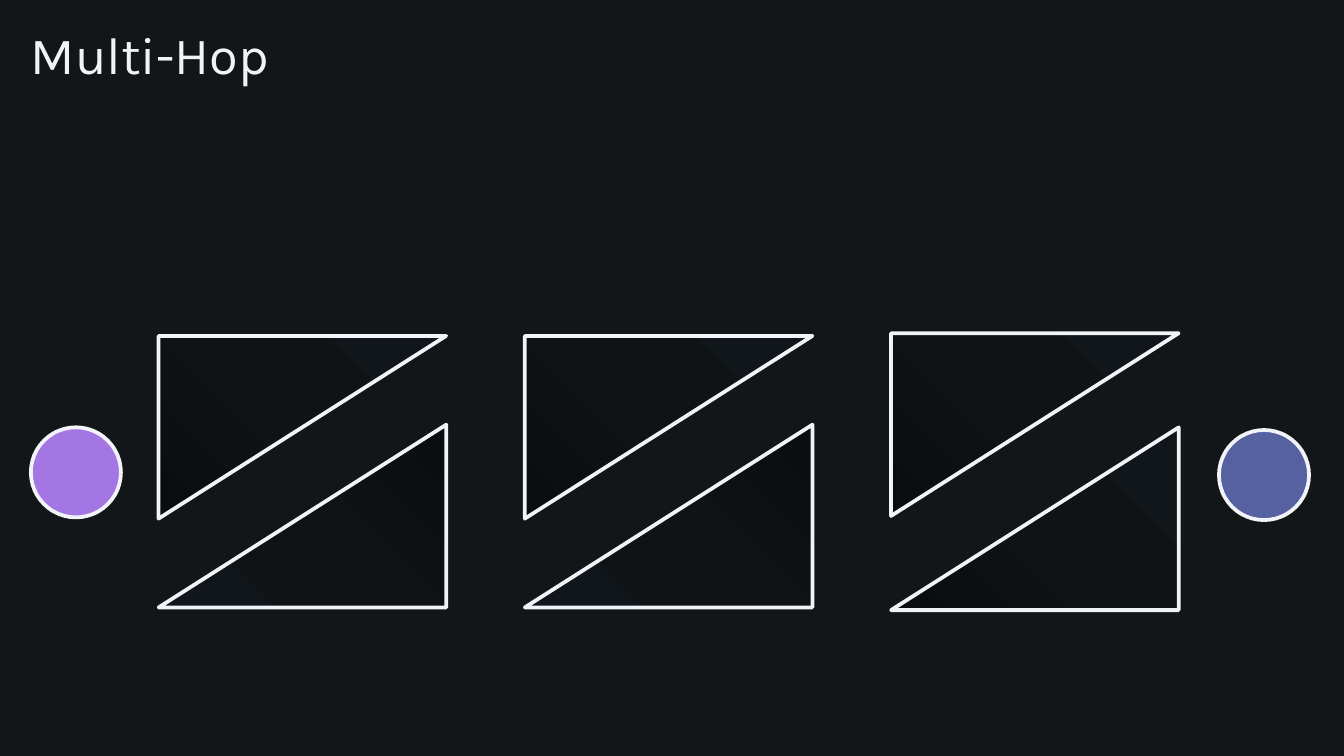
from copy import deepcopy

from pptx import Presentation
from pptx.dml.color import RGBColor
from pptx.enum.shapes import MSO_SHAPE as Shape
from pptx.oxml.ns import qn
from pptx.util import Inches, Pt

LIGHT = "F2F3F8"
GRADIENT = ((0, "0A0D0F"), (50, "0F1316"), (100, "11161A"))


def color(value):
    return RGBColor.from_string(value)


class SlideBuilder:
    font = "Karla"
    line_width = Pt(2)

    def __init__(self, slide, background):
        self.slide = slide
        slide.background.fill.solid()
        slide.background.fill.fore_color.rgb = color(background)

    def title(self, text, left, top, width, height):
        box = self.slide.shapes.add_textbox(*map(Inches, (left, top, width, height)))
        frame = box.text_frame
        frame.word_wrap = True
        frame.margin_left = frame.margin_top = frame.margin_right = frame.margin_bottom = 0
        frame.text = text
        paragraph = frame.paragraphs[0]
        paragraph.line_spacing = 0.9
        font = paragraph.runs[0].font
        font.name, font.size = self.font, Pt(28)
        font.color.rgb = color(LIGHT)

    def outlined(self, kind, left, top, width, height):
        shape = self.slide.shapes.add_shape(kind, *map(Inches, (left, top, width, height)))
        shape.shadow.inherit = False
        shape.line.color.rgb = color(LIGHT)
        shape.line.width = self.line_width
        return shape

    def circle(self, left, top, diameter, fill):
        shape = self.outlined(Shape.OVAL, left, top, diameter, diameter)
        shape.fill.solid()
        shape.fill.fore_color.rgb = color(fill)

    def triangle(self, left, top, width, height, rotation=0, angle=315):
        shape = self.outlined(Shape.RIGHT_TRIANGLE, left, top, width, height)
        shape.rotation = rotation
        shape._element.spPr.find(qn("a:xfrm")).set("flipV", "1")
        shape.fill.gradient()
        shape.fill.gradient_angle = angle
        # The default gradient has two stops; a third is added
        stop_list = shape._element.spPr.find(qn("a:gradFill")).find(qn("a:gsLst"))
        stop_list.append(deepcopy(stop_list[0]))
        for stop, (position, value) in zip(shape.fill.gradient_stops, GRADIENT):
            stop.position = position / 100
            stop.color.rgb = color(value)


def main():
    presentation = Presentation()
    presentation.slide_width = Inches(10)
    presentation.slide_height = Inches(10) * 9 // 16
    slide = presentation.slides.add_slide(presentation.slide_layouts[6])
    builder = SlideBuilder(slide, "121619")

    builder.title("Multi-Hop", 0.23, 0.22, 4.53, 1.89)

    # Endpoints
    builder.circle(0.23, 3.18, 0.67, "A476E3")
    builder.circle(9.07, 3.2, 0.67, "56629F")

    # Hops: pairs of facing triangles, the last pair slightly wider apart
    first_left, last_left, width, height = 1.18, 6.63, 2.14, 1.36
    hops = ((2.5, 3.16, 315), (2.5, 3.16, 315), (2.48, 3.18, 135))
    pitch = (last_left - first_left) / (len(hops) - 1)
    for index, (upper_top, lower_top, lower_angle) in enumerate(hops):
        left = first_left + index * pitch
        builder.triangle(left, upper_top, width, height)
        builder.triangle(left, lower_top, width, height, rotation=180, angle=lower_angle)

    presentation.save("out.pptx")


if __name__ == "__main__":
    main()
